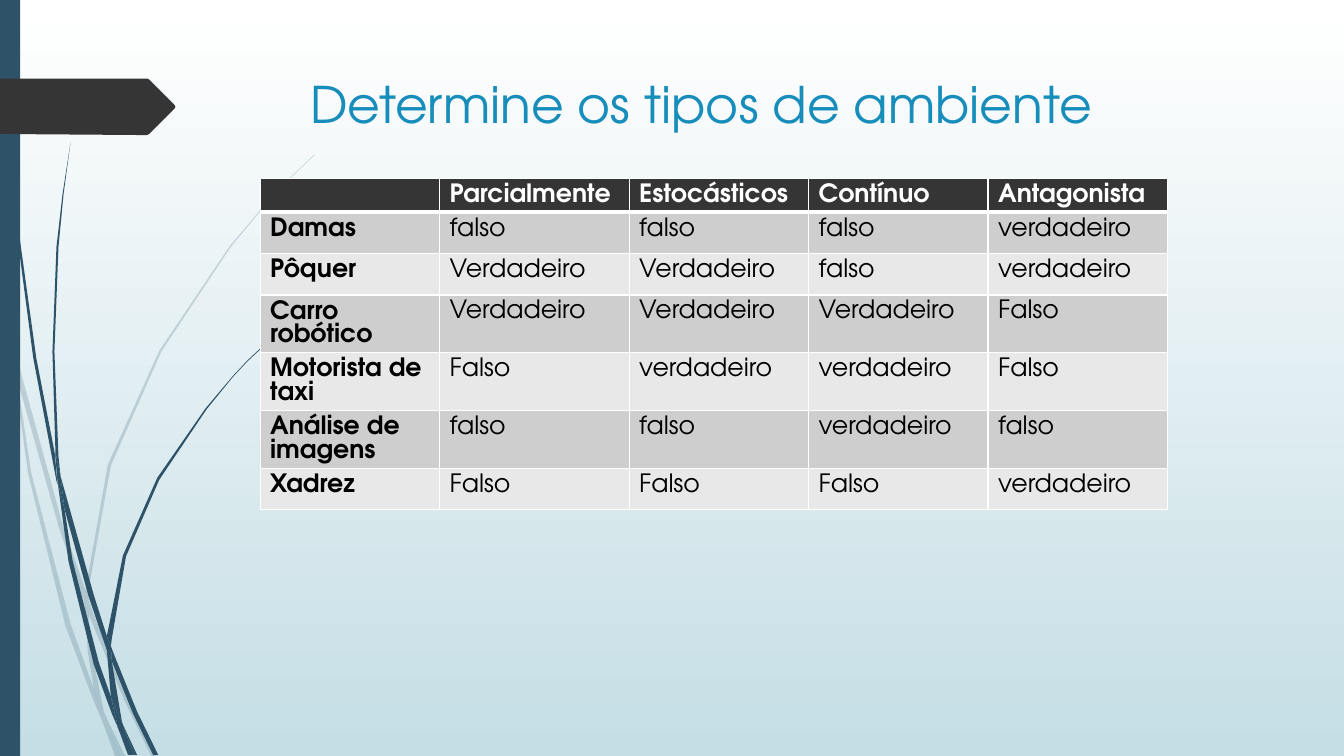
from lxml.etree import SubElement
from pptx import Presentation
from pptx.dml.color import RGBColor
from pptx.enum.shapes import MSO_SHAPE
from pptx.enum.text import MSO_ANCHOR, MSO_AUTO_SIZE, PP_ALIGN
from pptx.oxml.ns import qn
from pptx.util import Inches, Pt

FONT = "TeX Gyre Adventor"
NAVY, CHARCOAL, BLUE = "2E5369", "353535", "178DBB"
WHITE, BLACK, PALE_BLUE = "FFFFFF", "000000", "C5DEE5"
BANDS = ("CECECE", "E8E8E8")
HUNDREDTH = Inches(0.01)

ENVIRONMENTS = [
    ["", "Parcialmente", "Estocásticos", "Contínuo", "Antagonista"],
    ["Damas", "falso", "falso", "falso", "verdadeiro"],
    ["Pôquer", "Verdadeiro", "Verdadeiro", "falso", "verdadeiro"],
    ["Carro robótico", "Verdadeiro", "Verdadeiro", "Verdadeiro", "Falso"],
    ["Motorista de taxi", "Falso", "verdadeiro", "verdadeiro", "Falso"],
    ["Análise de imagens", "falso", "falso", "verdadeiro", "falso"],
    ["Xadrez", "Falso", "Falso", "Falso", "verdadeiro"],
]
COLUMN_WIDTHS = (1.78, 1.88, 1.78, 1.78, 1.78)
ROW_HEIGHTS = (0.32,) + (0.41,) * 6

# Outlines of the grass blades, in hundredths of an inch
FADED_BLADES = [
    [(11, 350), (9, 322), (0, 282), (0, 299), (10, 344)],
    [(58, 522), (84, 599), (85, 586), (62, 520), (14, 345), (17, 376)],
    [(92, 607), (88, 596), (88, 610), (123, 694), (150, 750), (155, 750), (127, 692)],
    [(119, 750), (124, 750), (105, 711)],
    [(93, 683), (70, 619), (31, 469), (17, 376), (11, 350), (28, 470), (65, 621),
     (92, 693), (101, 714), (99, 707)],
    [(84, 599), (87, 646), (93, 683), (96, 692), (105, 711), (103, 706), (91, 646),
     (88, 610), (88, 608)],
    [(88, 584), (110, 462), (160, 349), (229, 245), (268, 198), (290, 175), (312, 154),
     (312, 153), (289, 175), (268, 197), (228, 244), (158, 348), (107, 461), (85, 584),
     (85, 586), (88, 596)],
    [(101, 714), (114, 750), (119, 750)],
    [(88, 608), (88, 610), (88, 596), (85, 586), (84, 599)],
    [(96, 692), (93, 683), (99, 707), (101, 714), (119, 750), (105, 711)],
]
SOLID_BLADES = [
    [(7, 110), (17, 233), (33, 355), (56, 477), (57, 481), (55, 457), (55, 453), (36, 355),
     (19, 232), (8, 109), (5, 48), (4, 0), (3, 0), (4, 48)],
    [(88, 592), (106, 645), (106, 631), (93, 590), (60, 472), (64, 505)],
    [(113, 649), (110, 641), (111, 656), (132, 708), (152, 749), (157, 749), (136, 706)],
    [(110, 691), (98, 657), (72, 556), (64, 505), (57, 477), (68, 557), (93, 659),
     (111, 708), (117, 722), (116, 717)],
    [(60, 472), (58, 453), (54, 349), (58, 245), (63, 193), (70, 141), (62, 193),
     (56, 245), (52, 349), (55, 449)],
    [(133, 749), (136, 749), (122, 719)],
    [(57, 477), (64, 505), (60, 472), (55, 449), (55, 453)],
    [(111, 633), (125, 552), (158, 476), (205, 406), (231, 374), (245, 359), (261, 344),
     (260, 344), (245, 358), (231, 373), (204, 405), (156, 474), (122, 551), (106, 631),
     (110, 641)],
    [(117, 722), (127, 749), (131, 749)],
    [(106, 645), (110, 691), (116, 706), (122, 719), (121, 716), (111, 656), (109, 651)],
    [(106, 645), (109, 651), (111, 656), (110, 641), (106, 631), (106, 633)],
    [(116, 706), (110, 691), (116, 717), (117, 722), (130, 749), (133, 749), (122, 719)],
]
TITLE_MARKER = [(173, 108), (148, 133), (146, 134), (136, 134), (0, 133), (0, 78),
                (146, 78), (148, 79), (173, 104), (174, 106)]


def rgb(hex_code):
    return RGBColor.from_string(hex_code)


def paint(shape, color, opacity=100):
    shape.shadow.inherit = False
    shape.fill.solid()
    shape.fill.fore_color.rgb = rgb(color)
    shape.line.fill.background()
    if opacity < 100:
        tint = shape.fill._xPr.find(qn("a:solidFill"))[0]
        SubElement(tint, qn("a:alpha"), val=str(opacity * 1000))


def add_outline(slide, points, color, opacity=100):
    builder = slide.shapes.build_freeform(*points[0], scale=HUNDREDTH)
    builder.add_line_segments(points[1:], close=True)
    paint(builder.convert_to_shape(), color, opacity)


def write(frame, text, size=18, color=BLACK, bold=False, line_height=None):
    paragraph = frame.paragraphs[0]
    paragraph.alignment = PP_ALIGN.LEFT
    if line_height:
        paragraph.line_spacing = Pt(line_height)
    font = paragraph.font
    if text:
        run = paragraph.add_run()
        run.text = text
        font = run.font
    font.name, font.size, font.bold = FONT, Pt(size), bold
    font.color.rgb = rgb(color)


def add_borders(cell, bottom=1):
    properties = cell._tc.get_or_add_tcPr()
    for side, width in (("lnL", 1), ("lnR", 1), ("lnT", 1), ("lnB", bottom)):
        border = SubElement(properties, qn(f"a:{side}"), w=str(Pt(width)))
        SubElement(SubElement(border, qn("a:solidFill")), qn("a:srgbClr"), val=WHITE)


def add_background(slide):
    fill = slide.background.fill
    fill.gradient()
    fill.gradient_angle = 270
    for stop, position, color in zip(fill.gradient_stops, (0, 1), (WHITE, PALE_BLUE)):
        stop.position = position
        stop.color.rgb = rgb(color)


def add_decoration(slide, slide_height):
    for blade in FADED_BLADES:
        add_outline(slide, blade, NAVY, opacity=20)
    for blade in SOLID_BLADES:
        add_outline(slide, blade, NAVY)
    side_bar = slide.shapes.add_shape(MSO_SHAPE.RECTANGLE, 0, 0, Inches(0.2), slide_height)
    paint(side_bar, NAVY)
    add_outline(slide, TITLE_MARKER, CHARCOAL)


def add_title(slide, text):
    title = slide.shapes.title
    title.left, title.top = Inches(2.84), Inches(0.68)
    title.width, title.height = Inches(9.75), Inches(1.4)
    frame = title.text_frame
    frame.word_wrap = True
    frame.auto_size = MSO_AUTO_SIZE.NONE
    frame.vertical_anchor = MSO_ANCHOR.TOP
    write(frame, text, size=36, color=BLUE)


def add_environment_table(slide):
    table = slide.shapes.add_table(
        len(ROW_HEIGHTS), len(COLUMN_WIDTHS), Inches(2.58), Inches(1.77),
        Inches(sum(COLUMN_WIDTHS)), Inches(sum(ROW_HEIGHTS))).table
    for column, width in zip(table.columns, COLUMN_WIDTHS):
        column.width = Inches(width)
    for row, height in zip(table.rows, ROW_HEIGHTS):
        row.height = Inches(height)
    for r, values in enumerate(ENVIRONMENTS):
        header = r == 0
        for c, value in enumerate(values):
            cell = table.cell(r, c)
            add_borders(cell, bottom=3 if header else 1)
            cell.fill.solid()
            cell.fill.fore_color.rgb = rgb(CHARCOAL if header else BANDS[(r - 1) % 2])
            write(cell.text_frame, value, color=WHITE if header else BLACK,
                  bold=header or c == 0, line_height=17)


def main():
    prs = Presentation()
    prs.slide_width, prs.slide_height = Inches(13.33), Inches(7.5)
    slide = prs.slides.add_slide(prs.slide_layouts[5])
    add_background(slide)
    add_decoration(slide, prs.slide_height)
    add_title(slide, " Determine os tipos de ambiente")
    add_environment_table(slide)
    prs.save("out.pptx")


if __name__ == "__main__":
    main()
